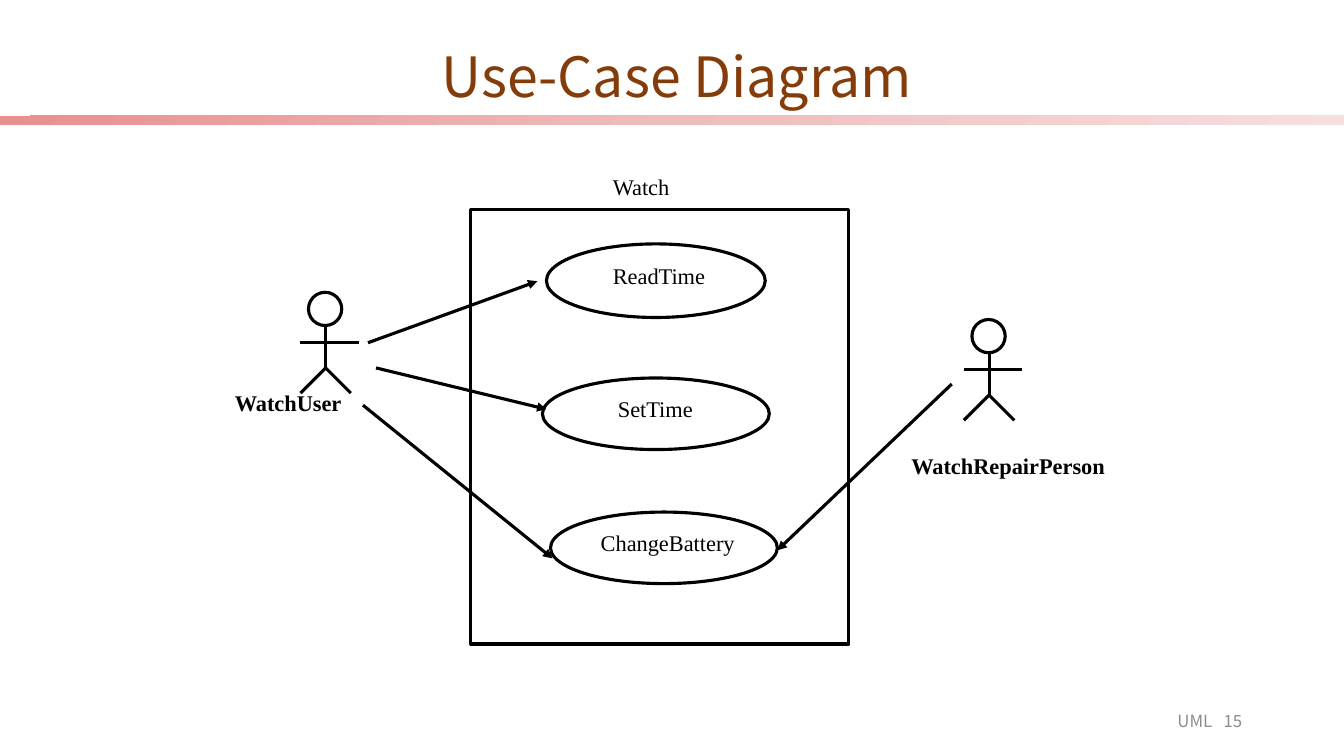
"""Build the use-case diagram slide for a watch."""
from copy import deepcopy
from dataclasses import dataclass

from lxml import etree
from pptx import Presentation
from pptx.dml.color import RGBColor
from pptx.enum.shapes import MSO_CONNECTOR, MSO_SHAPE
from pptx.enum.text import MSO_ANCHOR, MSO_AUTO_SIZE, PP_ALIGN
from pptx.oxml.ns import qn
from pptx.util import Inches, Pt


@dataclass(frozen=True)
class Theme:
    ink: RGBColor = RGBColor.from_string("000000")
    title: RGBColor = RGBColor.from_string("843C0B")
    footer: RGBColor = RGBColor.from_string("8C8C8C")
    band: tuple = ("E98F8F", "EFBCBC", "F7DEDE")
    heading_font: str = "Noto Sans CJK KR"
    diagram_font: str = "Times New Roman"
    title_size: float = 39.6
    label_size: float = 16
    footer_size: float = 12
    stroke: float = 2.25


theme = Theme()


def add_outline(shapes, preset, left, top, width, height):
    outline = shapes.add_shape(preset, Inches(left), Inches(top), Inches(width), Inches(height))
    outline.shadow.inherit = False
    outline.fill.background()
    outline.line.color.rgb = theme.ink
    outline.line.width = Pt(theme.stroke)


def add_stroke(shapes, x1, y1, x2, y2, arrow=False):
    stroke = shapes.add_connector(
        MSO_CONNECTOR.STRAIGHT, Inches(x1), Inches(y1), Inches(x2), Inches(y2))
    stroke.line.color.rgb = theme.ink
    stroke.line.width = Pt(theme.stroke)
    if arrow:
        etree.SubElement(stroke.line._get_or_add_ln(), qn("a:tailEnd"), type="triangle")
    etree.SubElement(stroke._element.spPr, qn("a:effectLst"))


prs = Presentation()
prs.slide_width, prs.slide_height = Inches(13.33), Inches(7.5)
slide = prs.slides.add_slide(prs.slide_layouts[5])
shapes = slide.shapes

band = shapes.add_shape(MSO_SHAPE.RECTANGLE, 0, Inches(1.15), prs.slide_width, Inches(0.09))
band.shadow.inherit = False
band.line.fill.background()
band.fill.gradient()
band.fill.gradient_angle = 315
first_stop = band.fill._fill._gradFill.gsLst[0]
first_stop.addnext(deepcopy(first_stop))
for stop, color, position in zip(band.fill.gradient_stops, theme.band, (0, 0.5, 1)):
    stop.color.rgb = RGBColor.from_string(color)
    stop.position = position

title = shapes.title
title.left, title.top, title.width, title.height = map(Inches, (0.6, 0.48, 12.22, 0.61))
title.text_frame.auto_size = MSO_AUTO_SIZE.NONE
title.text_frame.vertical_anchor = MSO_ANCHOR.MIDDLE
heading = title.text_frame.paragraphs[0]
heading.alignment = PP_ALIGN.CENTER
heading.line_spacing = 0.9
heading_run = heading.add_run()
heading_run.text = "Use-Case Diagram"
heading_run.font.name = theme.heading_font
heading_run.font.size = Pt(theme.title_size)
heading_run.font.color.rgb = theme.title

add_outline(shapes, MSO_SHAPE.RECTANGLE, 4.67, 2.08, 3.75, 4.31)
for use_case in [(5.42, 2.42, 2.17, 0.73), (5.38, 3.75, 2.25, 0.71), (5.46, 5.08, 2.25, 0.71)]:
    add_outline(shapes, MSO_SHAPE.OVAL, *use_case)

for center, top in [(3.23, 2.9), (9.81, 3.17)]:
    actor = shapes.add_group_shape().shapes
    neck, arms, hips, feet = top + 0.33, top + 0.5, top + 0.75, top + 1
    add_stroke(actor, center - 0.25, arms, center + 0.33, arms)
    add_stroke(actor, center, neck, center, hips)
    for foot in (center - 0.25, center + 0.25):
        add_stroke(actor, center, hips, foot, feet)
    add_outline(actor, MSO_SHAPE.OVAL, center - 0.17, top, 0.33, 0.33)

for association in [
    (3.65, 3.4, 5.33, 2.79),
    (3.73, 3.65, 5.42, 4.06),
    (3.6, 4.02, 5.48, 5.54),
    (9.44, 3.81, 7.71, 5.46),
]:
    add_stroke(shapes, *association, arrow=True)

for name, left, top, width, is_actor in [
    ("Watch", 5.98, 1.67, 0.78, False),
    ("ReadTime", 5.98, 2.55, 1.13, False),
    ("SetTime", 6.03, 3.87, 0.96, False),
    ("ChangeBattery", 5.86, 5.2, 1.54, False),
    ("WatchUser", 2.23, 3.81, 1.28, True),
    ("WatchRepairPerson", 8.94, 4.44, 2.14, True),
]:
    label = shapes.add_textbox(Inches(left), Inches(top), Inches(width), Inches(0.37)).text_frame
    label.word_wrap = False
    label.auto_size = MSO_AUTO_SIZE.SHAPE_TO_FIT_TEXT
    label_run = label.paragraphs[0].add_run()
    label_run.text = name
    label_run.font.name = theme.diagram_font
    label_run.font.size = Pt(theme.label_size)
    label_run.font.bold = is_actor
    label_run.font.color.rgb = theme.ink

footer = shapes.add_textbox(Inches(9.42), Inches(6.95), Inches(3), Inches(0.4)).text_frame
footer.word_wrap = True
footer.vertical_anchor = MSO_ANCHOR.MIDDLE
footer.paragraphs[0].alignment = PP_ALIGN.RIGHT
for part, spacing in [("UML", 0), (" ", 540), ("15", 0)]:
    footer_run = footer.paragraphs[0].add_run()
    footer_run.text = part
    footer_run.font.name = theme.heading_font
    footer_run.font.size = Pt(theme.footer_size)
    footer_run.font.color.rgb = theme.footer
    footer_run._r.get_or_add_rPr().set("spc", str(spacing))

prs.save("out.pptx")
